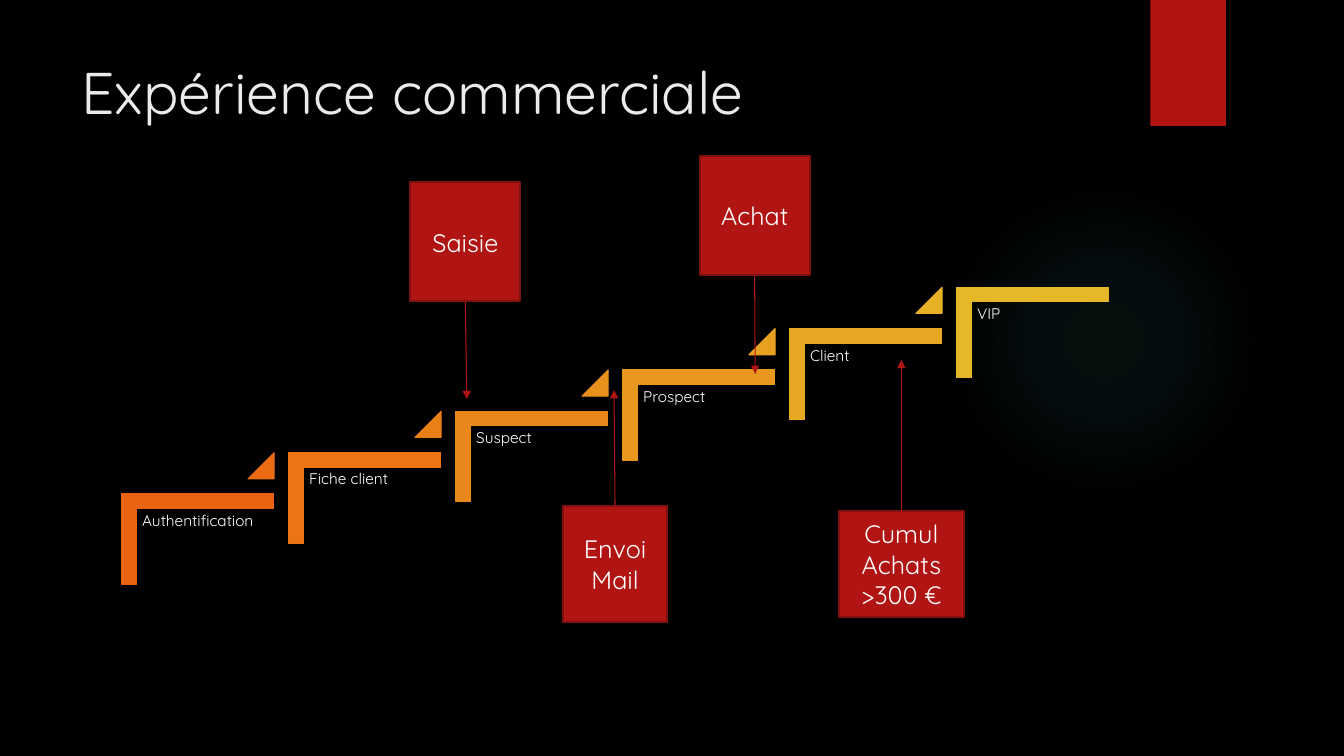
"""Build the "Expérience commerciale" slide: a rising staircase of customer stages with triggers."""
from lxml import etree
from pptx import Presentation
from pptx.dml.color import RGBColor
from pptx.enum.shapes import MSO_CONNECTOR, MSO_SHAPE
from pptx.enum.text import MSO_ANCHOR, PP_ALIGN
from pptx.oxml import parse_xml
from pptx.oxml.ns import nsdecls, qn
from pptx.util import Inches, Pt

RECTANGLE, ELLIPSE = MSO_SHAPE.RECTANGLE, MSO_SHAPE.OVAL
CORNER, TRIANGLE = MSO_SHAPE.CORNER, MSO_SHAPE.ISOSCELES_TRIANGLE
STRAIGHT = MSO_CONNECTOR.STRAIGHT
MIDDLE, TOP = MSO_ANCHOR.MIDDLE, MSO_ANCHOR.TOP
CENTER, LEFT = PP_ALIGN.CENTER, PP_ALIGN.LEFT

FONT = "Quicksand"
BLACK = RGBColor(0x00, 0x00, 0x00)
WHITE = RGBColor(0xFF, 0xFF, 0xFF)
TITLE_WHITE = RGBColor(0xEB, 0xEB, 0xEB)
RED = RGBColor(0xB0, 0x15, 0x13)
DARK_RED = RGBColor(0x82, 0x10, 0x0E)
GLOW_STOPS = [(0, 7), (36, 6), (69, 0)]

TITLE = "Expérience commerciale"
STAGES = [
    ("Authentification", RGBColor(0xEA, 0x63, 0x12), RGBColor(0xEB, 0x6C, 0x13)),
    ("Fiche client", RGBColor(0xEB, 0x75, 0x15), RGBColor(0xEA, 0x7E, 0x17)),
    ("Suspect", RGBColor(0xEA, 0x87, 0x1A), RGBColor(0xE9, 0x90, 0x1C)),
    ("Prospect", RGBColor(0xE8, 0x98, 0x1F), RGBColor(0xE8, 0xA0, 0x21)),
    ("Client", RGBColor(0xE7, 0xA8, 0x24), RGBColor(0xE7, 0xB0, 0x26)),
    ("VIP", RGBColor(0xE6, 0xB7, 0x29), None),
]
TRIGGERS = [
    (["Saisie"], (4.07, 1.81, 1.09, 1.18), (4.63, 3.96)),
    (["Envoi Mail"], (5.58, 5.02, 1.04, 1.15), (6.09, 3.87)),
    (["Achat"], (6.94, 1.55, 1.09, 1.18), (7.49, 3.71)),
    (["Cumul", "Achats >300 €"], (8.32, 5.07, 1.24, 1.05), (8.94, 3.57)),
]
FIRST_CORNER = (1.51, 4.6)
FIRST_LABEL = (1.36, 5.04)
FIRST_ARROWHEAD = (2.46, 4.49)
LAST_CORNER = (9.79, 2.55)
STEP_RUN, STEP_RISE = (
    (last - first) / (len(STAGES) - 1) for first, last in zip(FIRST_CORNER, LAST_CORNER)
)

presentation = Presentation()
presentation.slide_width, presentation.slide_height = Inches(13.33), Inches(7.5)
slide = presentation.slides.add_slide(presentation.slide_layouts[6])
slide.background.fill.solid()
slide.background.fill.fore_color.rgb = BLACK


def add_block(kind, box, fill, line=None, width=0.75):
    block = slide.shapes.add_shape(kind, *map(Inches, box))
    block.shadow.inherit = False
    block.fill.solid()
    block.fill.fore_color.rgb = fill
    if line is None:
        block.line.fill.background()
    else:
        block.line.color.rgb = line
        block.line.width = Pt(width)
    return block


def write(holder, lines, size, color=WHITE, align=LEFT, anchor=TOP, spacing=None):
    frame = holder.text_frame
    frame.word_wrap = True
    frame.vertical_anchor = anchor
    frame.text = "\n".join(lines)
    for paragraph in frame.paragraphs:
        paragraph.alignment = align
        paragraph.line_spacing = spacing
        paragraph.font.name = FONT
        paragraph.font.size = Pt(size)
        paragraph.font.color.rgb = color
    return frame


def add_text(box, *args, **options):
    return write(slide.shapes.add_textbox(*map(Inches, box)), *args, **options)


def add_glow(box):
    glow = add_block(ELLIPSE, box, BLACK)
    stops = "".join(
        f'<a:gs pos="{position * 1000}"><a:srgbClr val="50B9C1">'
        f'<a:alpha val="{alpha * 1000}"/></a:srgbClr></a:gs>'
        for position, alpha in GLOW_STOPS
    )
    gradient = parse_xml(
        f'<a:gradFill {nsdecls("a")}><a:gsLst>{stops}</a:gsLst><a:path path="circle">'
        '<a:fillToRect l="50000" t="50000" r="50000" b="50000"/></a:path></a:gradFill>'
    )
    properties = glow.element.spPr
    properties.replace(properties.find(qn("a:solidFill")), gradient)


def add_arrow(start, end):
    arrow = slide.shapes.add_connector(STRAIGHT, *map(Inches, start + end))
    arrow.line.color.rgb = RED
    arrow.line.width = Pt(0.75)
    properties = arrow.element.spPr
    etree.SubElement(properties.find(qn("a:ln")), qn("a:tailEnd"), type="triangle")
    etree.SubElement(properties, qn("a:effectLst"))


def climb(first, index, width, height):
    return (first[0] + index * STEP_RUN, first[1] + index * STEP_RISE, width, height)


add_glow((9.41, 1.83, 3.08, 3.08))
add_block(RECTANGLE, (11.41, 0, 0.75, 1.25), RED)
add_text((0.71, 0.5, 10.29, 1.53), [TITLE], 42, TITLE_WHITE)

for index, (stage, corner_color, arrowhead_color) in enumerate(STAGES):
    corner = add_block(CORNER, climb(FIRST_CORNER, index, 0.9, 1.5), corner_color, corner_color)
    corner.rotation = 90
    corner.adjustments[0] = corner.adjustments[1] = 0.16
    label = add_text(climb(FIRST_LABEL, index, 1.35, 1.19), [stage], 11, spacing=0.9)
    label.margin_left = label.margin_right = Inches(0.05)
    label.margin_top = label.margin_bottom = Inches(0.05)
    if arrowhead_color is not None:
        arrowhead = add_block(TRIANGLE, climb(FIRST_ARROWHEAD, index, 0.26, 0.26),
                              arrowhead_color, arrowhead_color)
        arrowhead.adjustments[0] = 1

for lines, box, target in TRIGGERS:
    left, top, width, height = box
    trigger = add_block(RECTANGLE, box, RED, DARK_RED, 1.5)
    write(trigger, lines, 18, align=CENTER, anchor=MIDDLE)
    edge = top + height if target[1] > top else top
    add_arrow((left + width / 2, edge), target)

presentation.save("out.pptx")
